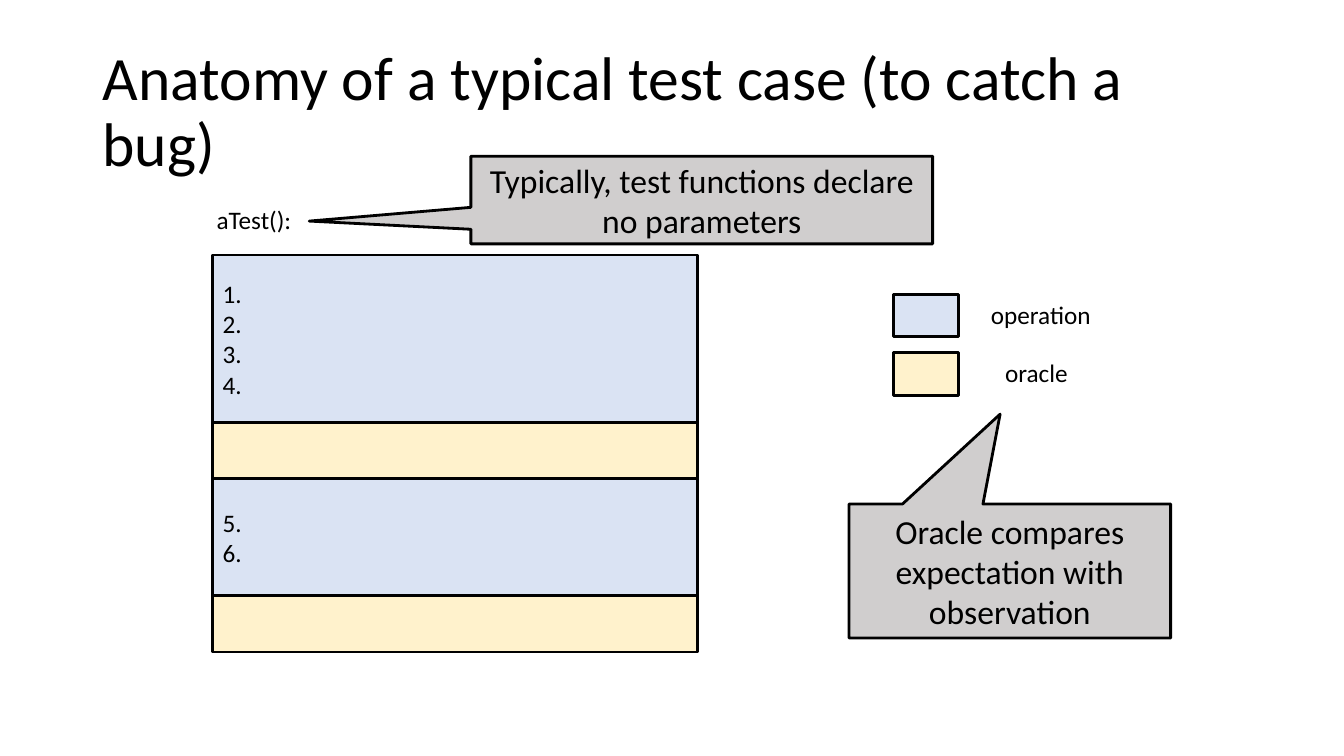
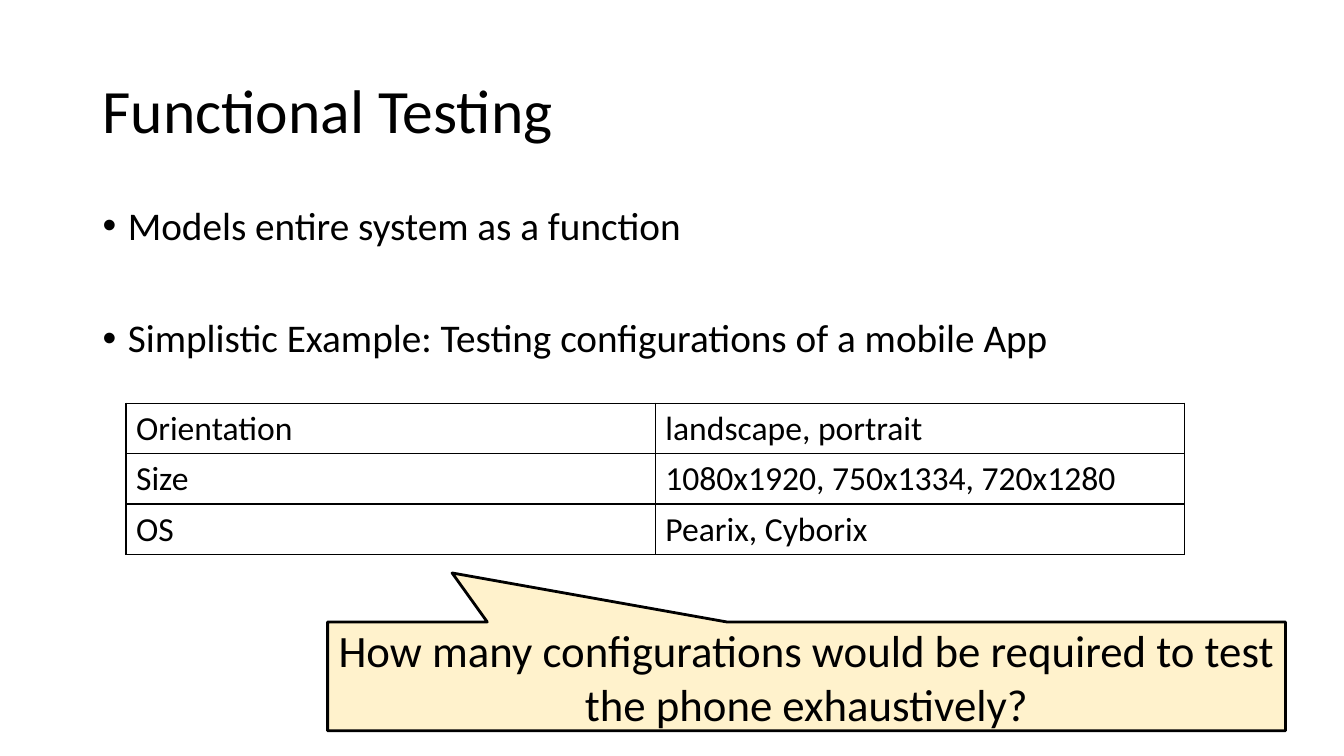
import pptx
import pptx.util
import pptx.dml.color
import pptx.enum.shapes
import pptx.enum.text
import pptx.oxml
import pptx.oxml.ns

RGB = pptx.dml.color.RGBColor
SHAPE = pptx.enum.shapes.MSO_SHAPE
ANCHOR = pptx.enum.text.MSO_ANCHOR
ALIGN = pptx.enum.text.PP_ALIGN

BLACK = RGB(0x00, 0x00, 0x00)
BLUE = RGB(0xDA, 0xE3, 0xF3)
CREAM = RGB(0xFF, 0xF2, 0xCC)
GREY = RGB(0xD0, 0xCE, 0xCE)
FONT = "Calibri"
EMU_PER_PX = 9144  # 100 px to the inch


def emu(px):
    return pptx.util.Emu(px * EMU_PER_PX)


def add_xml(parent, xml):
    ns = pptx.oxml.ns.nsdecls("a")
    parent.append(pptx.oxml.parse_xml(xml.replace(" ", f" {ns} ", 1)))


class Deck:
    """The presentation, its style and the slide being filled."""

    def __init__(self):
        self.prs = pptx.Presentation()
        self.prs.slide_width = emu(1333)
        self.prs.slide_height = emu(750)
        self.s = None

    def slide(self, title):
        self.s = self.prs.slides.add_slide(self.prs.slide_layouts[6])
        tf = self.text([title], 92, 40, 1150, 145, 44)
        tf.vertical_anchor = ANCHOR.MIDDLE
        tf.paragraphs[0].line_spacing = 0.9

    def add_lines(self, tf, lines, size, align=ALIGN.LEFT):
        for i, line in enumerate(lines):
            p = tf.paragraphs[0] if i == 0 else tf.add_paragraph()
            p.alignment = align
            r = p.add_run()
            r.text = line
            r.font.name = FONT
            r.font.size = pptx.util.Pt(size)
            r.font.color.rgb = BLACK

    def text(self, lines, x, y, w, h, size, wrap=True):
        tf = self.s.shapes.add_textbox(emu(x), emu(y), emu(w), emu(h)).text_frame
        tf.word_wrap = wrap
        self.add_lines(tf, lines, size)
        return tf

    def label(self, text, x, y, w):
        self.text([text], x, y, w, 40, 18, wrap=False)

    def bullets(self, lines, x, y, w, h, size, gap):
        tf = self.text(lines, x, y, w, h, size)
        for i, p in enumerate(tf.paragraphs):
            p.line_spacing = 0.9
            p.space_before = pptx.util.Pt(gap if i else 10)
            pPr = p._p.get_or_add_pPr()
            pPr.set("marL", str(emu(25)))
            pPr.set("indent", str(emu(-25)))
            add_xml(pPr, '<a:buFont typeface="Arial"/>')
            add_xml(pPr, '<a:buChar char="•"/>')

    def box(self, x, y, w, h, fill, lines=(), size=18, align=ALIGN.LEFT,
            kind=SHAPE.RECTANGLE):
        sp = self.s.shapes.add_shape(kind, emu(x), emu(y), emu(w), emu(h))
        sp.shadow.inherit = False
        sp.fill.solid()
        sp.fill.fore_color.rgb = fill
        sp.line.color.rgb = BLACK
        sp.line.width = pptx.util.Pt(2)
        tf = sp.text_frame
        tf.word_wrap = True
        tf.vertical_anchor = ANCHOR.MIDDLE
        self.add_lines(tf, lines, size, align)
        return sp

    def callout(self, text, x, y, w, h, fill, size, tip):
        """Tip is the offset from the centre, as shares of width and height."""
        sp = self.box(x, y, w, h, fill, [text], size, ALIGN.CENTER,
                      SHAPE.RECTANGULAR_CALLOUT)
        sp.adjustments[0], sp.adjustments[1] = tip

    def table(self, rows, x, y, w, row_h, size):
        frame = self.s.shapes.add_table(len(rows), len(rows[0]), emu(x), emu(y),
                                        emu(w), emu(row_h * len(rows)))
        tbl = frame.table
        tbl.first_row = tbl.horz_banding = False
        for i, row in enumerate(rows):
            for j, value in enumerate(row):
                cell = tbl.cell(i, j)
                self.add_lines(cell.text_frame, [value], size)
                tcPr = cell._tc.get_or_add_tcPr()
                for side in "LRTB":
                    add_xml(tcPr, f'<a:ln{side} w="12700"><a:solidFill>'
                            f'<a:srgbClr val="{BLACK}"/></a:solidFill></a:ln{side}>')
                cell.fill.background()


def test_case_slide(deck):
    deck.slide("Anatomy of a typical test case (to catch a bug)")

    y = 253
    for h, fill, steps in [(166, BLUE, range(1, 5)), (56, CREAM, ()),
                           (116, BLUE, range(5, 7)), (56, CREAM, ())]:
        deck.box(211, y, 481, h, fill, [f"{n}." for n in steps])
        y += h

    deck.label("aTest():", 205, 198, 203)
    deck.callout("Oracle compares expectation with observation",
                 842, 500, 319, 133, GREY, 24, (-0.03, -1.17))
    deck.callout("Typically, test functions declare no parameters",
                 467, 155, 458, 87, GREY, 24, (-0.85, 0.24))

    legend = [("operation", BLUE, 973, 119), ("oracle", CREAM, 987, 82)]
    for i, (name, fill, x, w) in enumerate(legend):
        y = 292 + 58 * i
        deck.box(886, y, 65, 42, fill)
        deck.label(name, x, y, w)


def functional_slide(deck):
    deck.slide("Functional Testing")
    deck.bullets(["Models entire system as a function",
                  "Simplistic Example: Testing configurations of a mobile App"],
                 92, 200, 1092, 209, 28, gap=50)
    deck.table([("Orientation", "landscape, portrait"),
                ("Size", "1080x1920, 750x1334, 720x1280"),
                ("OS", "Pearix, Cyborix")], 125, 400, 1050, 50, 24)
    deck.callout("How many configurations would be required to test "
                 "the phone exhaustively?",
                 325, 617, 950, 108, CREAM, 32, (-0.37, -0.95))


def main():
    deck = Deck()
    test_case_slide(deck)
    functional_slide(deck)
    deck.prs.save("out.pptx")


if __name__ == "__main__":
    main()
